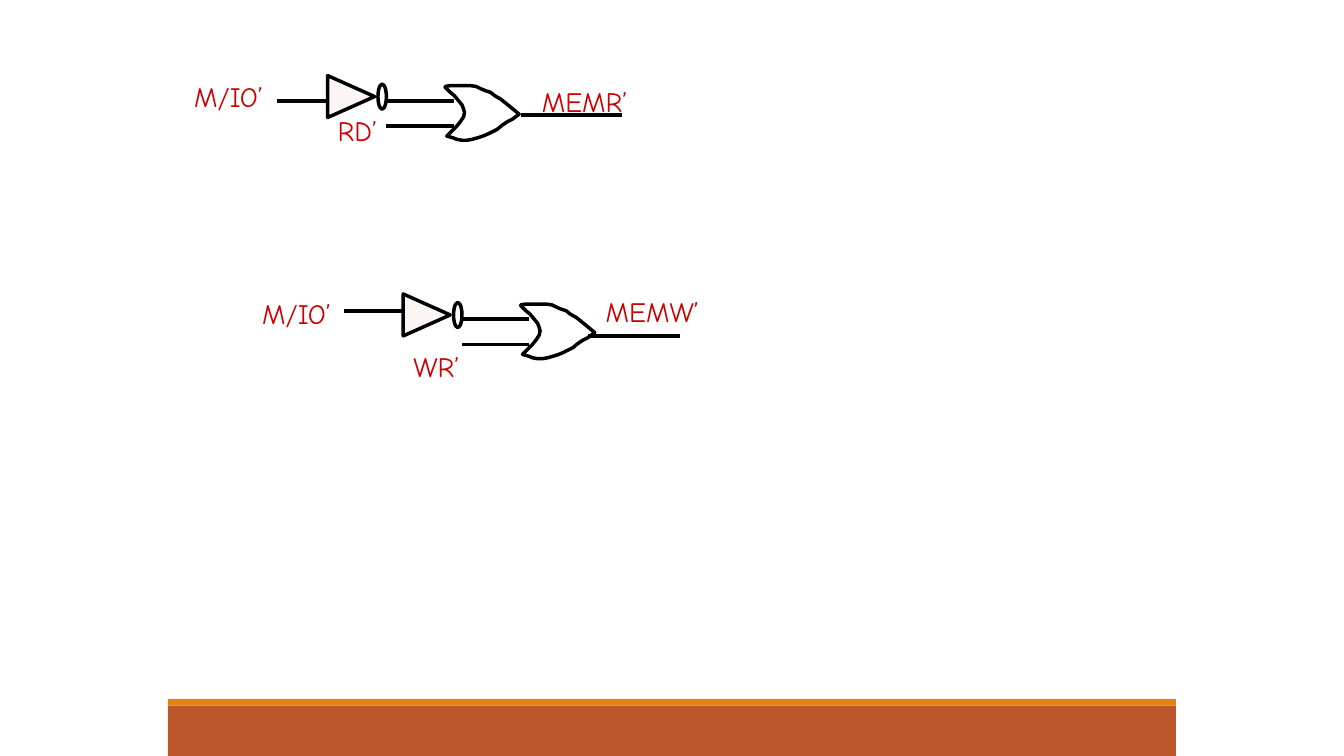
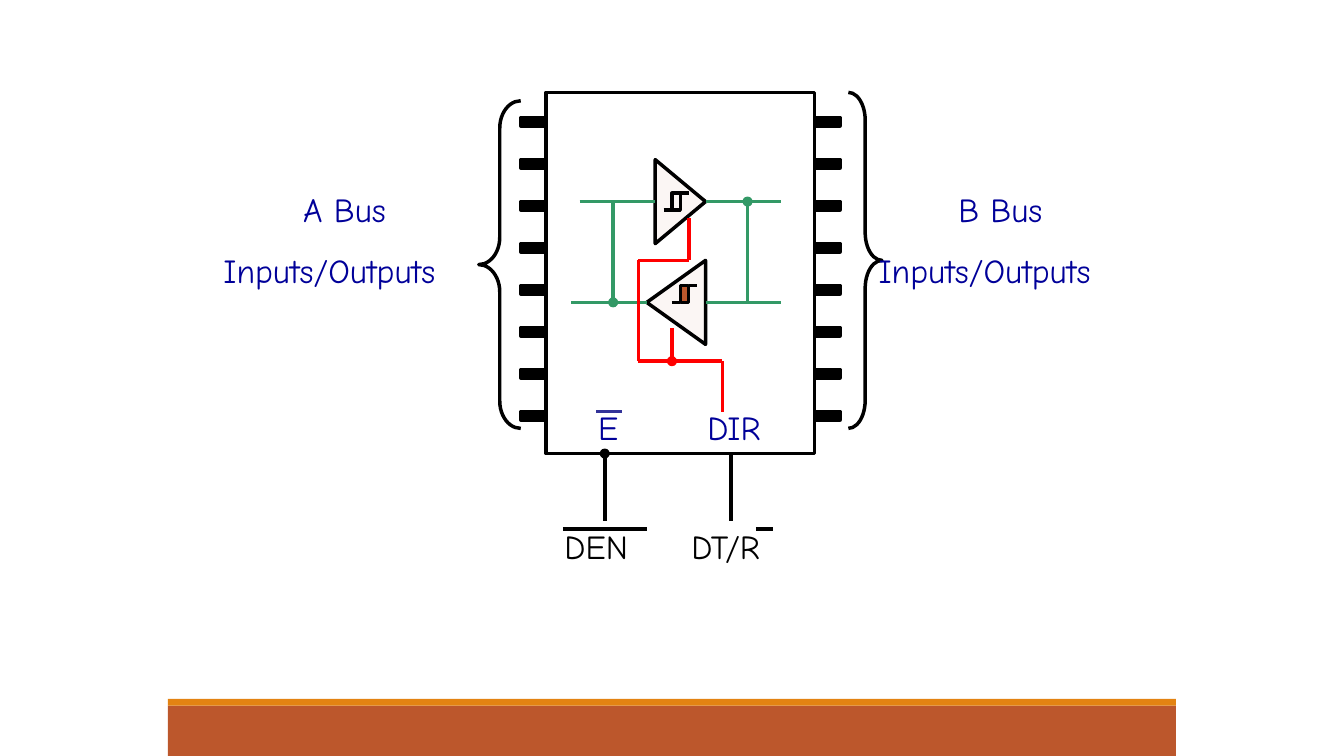
from dataclasses import dataclass

from lxml.etree import SubElement
from pptx import Presentation
from pptx.dml.color import RGBColor
from pptx.enum.shapes import MSO_CONNECTOR, MSO_SHAPE
from pptx.oxml.ns import qn
from pptx.util import Emu, Pt

EMU_PER_PX = 7620  # 120 px to the inch
SLIDE_W, SLIDE_H = 1600, 900
FONT = "Comic Neue"
LINE_PT = 2.5

BLACK = RGBColor(0x00, 0x00, 0x00)
RUST = RGBColor(0xBC, 0x57, 0x2C)
ORANGE = RGBColor(0xE3, 0x83, 0x12)
SIGNAL_RED = RGBColor(0xCC, 0x00, 0x00)
CONTROL_RED = RGBColor(0xFF, 0x00, 0x00)
BUS_GREEN = RGBColor(0x33, 0x99, 0x66)
NAVY = RGBColor(0x00, 0x00, 0x99)
INDIGO = RGBColor(0x33, 0x33, 0x99)

# OR gate outline: hollow back, lower edge to the tip, upper edge back
OR_GATE = (
    (0, 2), (5, 7), (11, 12), (16, 18), (20, 23), (22, 28), (23, 32),
    (22, 37), (18, 43), (14, 48), (9, 53), (4, 58), (2, 60),
    (9, 62), (14, 64), (20, 65), (26, 65), (32, 64), (39, 62), (45, 60),
    (50, 58), (56, 55), (62, 52), (68, 47), (74, 43), (80, 40), (88, 34),
    (82, 29), (76, 24), (71, 20), (66, 16), (59, 12), (54, 8), (48, 6),
    (43, 4), (37, 1), (30, 0), (12, 0), (6, 0), (0, 1),
)


@dataclass(frozen=True)
class Label:
    text: str
    x: int
    y: int


@dataclass(frozen=True)
class Wire:
    x1: int
    y1: int
    x2: int
    y2: int
    color: RGBColor = BLACK


@dataclass(frozen=True)
class Circuit:
    """An inverter feeding an OR gate; x, y is the inverter's corner."""
    x: int
    y: int
    source: Wire
    output: Wire
    labels: tuple[Label, ...]


@dataclass(frozen=True)
class Buffer:
    """A triangular buffer with its hysteresis mark."""
    x: int
    y: int
    width: int
    rotation: int
    mark_x: int
    mark_y: int
    mark_fill: RGBColor | None


CIRCUITS = (
    Circuit(390, 90, Wire(330, 120, 390, 120), Wire(620, 137, 740, 137),
            (Label("M/IO’", 231, 95), Label("RD’", 402, 135),
             Label("MEMR’", 645, 101))),
    Circuit(480, 350, Wire(410, 370, 480, 370), Wire(700, 400, 810, 400),
            (Label("M/IO’", 312, 353), Label("WR’", 492, 416),
             Label("MEMW’", 721, 351))),
)

BUFFERS = (
    Buffer(770, 310, 70, 270, 810, 340, RUST),
    Buffer(780, 190, 60, 90, 800, 230, None),
)

BUS_WIRES = tuple(Wire(*ends, BUS_GREEN) for ends in (
    (690, 240, 780, 240), (840, 240, 930, 240), (680, 360, 770, 360),
    (840, 360, 930, 360), (730, 240, 730, 360), (890, 240, 890, 360),
))

# Direction control, one bend after another
CONTROL_PATH = ((860, 490), (860, 430), (760, 430), (760, 310),
                (820, 310), (820, 260))
CONTROL_WIRES = tuple(
    Wire(*start, *end, CONTROL_RED)
    for start, end in zip(CONTROL_PATH, CONTROL_PATH[1:])
) + (Wire(800, 430, 800, 390, CONTROL_RED),)

PIN_WIRES = (Wire(720, 540, 720, 620), Wire(870, 540, 870, 620))
OVERLINES = (Wire(710, 490, 740, 490, INDIGO), Wire(670, 630, 770, 630),
             Wire(900, 630, 920, 630))
JUNCTIONS = ((730, 360, BUS_GREEN), (890, 240, BUS_GREEN),
             (800, 430, CONTROL_RED), (720, 540, BLACK))


def px(value: int) -> Emu:
    return Emu(value * EMU_PER_PX)


def paint(shape, fill: RGBColor | None, line: RGBColor | None) -> None:
    shape.shadow.inherit = False
    if fill is None:
        shape.fill.background()
    else:
        shape.fill.solid()
        shape.fill.fore_color.rgb = fill
    if line is None:
        shape.line.fill.background()
    else:
        shape.line.color.rgb = line
        shape.line.width = Pt(LINE_PT)


def add_preset(slide, kind: MSO_SHAPE, x: int, y: int, w: int, h: int,
               fill: RGBColor | None = None, line: RGBColor | None = BLACK):
    shape = slide.shapes.add_shape(kind, px(x), px(y), px(w), px(h))
    paint(shape, fill, line)
    return shape


def add_wire(slide, wire: Wire) -> None:
    connector = slide.shapes.add_connector(
        MSO_CONNECTOR.STRAIGHT,
        px(wire.x1), px(wire.y1), px(wire.x2), px(wire.y2))
    connector.line.color.rgb = wire.color
    connector.line.width = Pt(LINE_PT)
    SubElement(connector.element.spPr, qn("a:effectLst"))


def add_text(slide, text: str, x: int, y: int, *, w: int = 150, h: int = 48,
             size: int = 24, color: RGBColor = BLACK, spacing: float = 1.0,
             first_indent: int = 0) -> None:
    frame = slide.shapes.add_textbox(px(x), px(y), px(w), px(h)).text_frame
    frame.word_wrap = True
    frame.margin_left = frame.margin_right = 0
    frame.margin_top = frame.margin_bottom = 0
    paragraph = frame.paragraphs[0]
    paragraph.text = text
    paragraph.line_spacing = spacing
    if first_indent:
        properties = paragraph._p.get_or_add_pPr()
        properties.set("marL", "0")
        properties.set("indent", str(px(first_indent)))
    for run in paragraph.runs:
        run.font.name = FONT
        run.font.size = Pt(size)
        run.font.color.rgb = color


def add_triangle(slide, x: int, y: int, w: int, h: int, rotation: int) -> None:
    """Fill the box x, y, w, h with a triangle turned by a quarter."""
    shift = (w - h) // 2
    triangle = add_preset(slide, MSO_SHAPE.ISOSCELES_TRIANGLE,
                          x + shift, y - shift, h, w, fill=RUST)
    triangle.rotation = rotation
    tint = triangle.element.spPr.find(qn("a:solidFill"))[0]
    SubElement(tint, qn("a:alpha")).set("val", "5000")


def add_or_gate(slide, x: int, y: int) -> None:
    builder = slide.shapes.build_freeform(*OR_GATE[0], scale=EMU_PER_PX)
    builder.add_line_segments(OR_GATE[1:], close=True)
    paint(builder.convert_to_shape(px(x), px(y)), None, BLACK)


def add_footer_bands(slide) -> None:
    for y, height, color in ((840, 60, RUST), (832, 8, ORANGE)):
        add_preset(slide, MSO_SHAPE.RECTANGLE, 200, y, 1200, height,
                   fill=color, line=None)


def add_circuit(slide, circuit: Circuit) -> None:
    x, y = circuit.x, circuit.y
    gate_inputs = tuple(Wire(x + 70, y + dy, x + 150, y + dy)
                        for dy in (30, 60))
    for wire in (circuit.source, *gate_inputs, circuit.output):
        add_wire(slide, wire)
    add_triangle(slide, x, y, 56, 50, 90)
    add_preset(slide, MSO_SHAPE.OVAL, x + 60, y + 10, 10, 30)
    add_or_gate(slide, x + 140, y + 12)
    for label in circuit.labels:
        add_text(slide, label.text, label.x, label.y, size=20,
                 color=SIGNAL_RED)


def add_buffer(slide, buffer: Buffer) -> None:
    add_triangle(slide, buffer.x, buffer.y, buffer.width, 100,
                 buffer.rotation)
    x, y = buffer.mark_x, buffer.mark_y
    add_preset(slide, MSO_SHAPE.RECTANGLE, x, y, 10, 20,
               fill=buffer.mark_fill)
    add_wire(slide, Wire(x + 10, y, x + 20, y))
    add_wire(slide, Wire(x - 10, y + 20, x, y + 20))


def add_brace(slide, kind: MSO_SHAPE, x: int, y: int, w: int, h: int,
              curve: float) -> None:
    brace = add_preset(slide, kind, x, y, w, h)
    brace.adjustments[0] = curve


def build_control_signals(slide) -> None:
    for circuit in CIRCUITS:
        add_circuit(slide, circuit)


def build_transceiver(slide) -> None:
    # Chip body and its two rows of pins
    add_preset(slide, MSO_SHAPE.RECTANGLE, 650, 110, 320, 430)
    for pin_x in (620, 970):
        for row in range(8):
            add_preset(slide, MSO_SHAPE.RECTANGLE, pin_x, 140 + 50 * row,
                       30, 10, fill=BLACK)

    # Buffers, wiring and junction dots
    for buffer in BUFFERS:
        add_buffer(slide, buffer)
    for wire in BUS_WIRES + CONTROL_WIRES + PIN_WIRES + OVERLINES:
        add_wire(slide, wire)
    for x, y, color in JUNCTIONS:
        add_preset(slide, MSO_SHAPE.OVAL, x - 6, y - 6, 12, 12,
                   fill=color, line=None)

    # Bus braces and labels
    add_brace(slide, MSO_SHAPE.LEFT_BRACE, 570, 120, 50, 390, 0.65)
    add_brace(slide, MSO_SHAPE.RIGHT_BRACE, 1010, 110, 40, 400, 0.83)
    for bus, x in (("A", 266), ("B", 1046)):
        add_text(slide, f"{bus} Bus\vInputs/Outputs", x, 201, w=300, h=140,
                 color=NAVY, spacing=1.5, first_indent=95)

    # Pin names inside the chip, signals below it
    for label in (Label("E", 712, 485), Label("DIR", 842, 485)):
        add_text(slide, label.text, label.x, label.y, w=90, color=NAVY)
    for label in (Label("DEN", 672, 626), Label("DT/R", 823, 626)):
        add_text(slide, label.text, label.x, label.y)


def main() -> None:
    deck = Presentation()
    deck.slide_width, deck.slide_height = px(SLIDE_W), px(SLIDE_H)
    for build in (build_control_signals, build_transceiver):
        slide = deck.slides.add_slide(deck.slide_layouts[6])
        add_footer_bands(slide)
        build(slide)
    deck.save("out.pptx")


if __name__ == "__main__":
    main()
